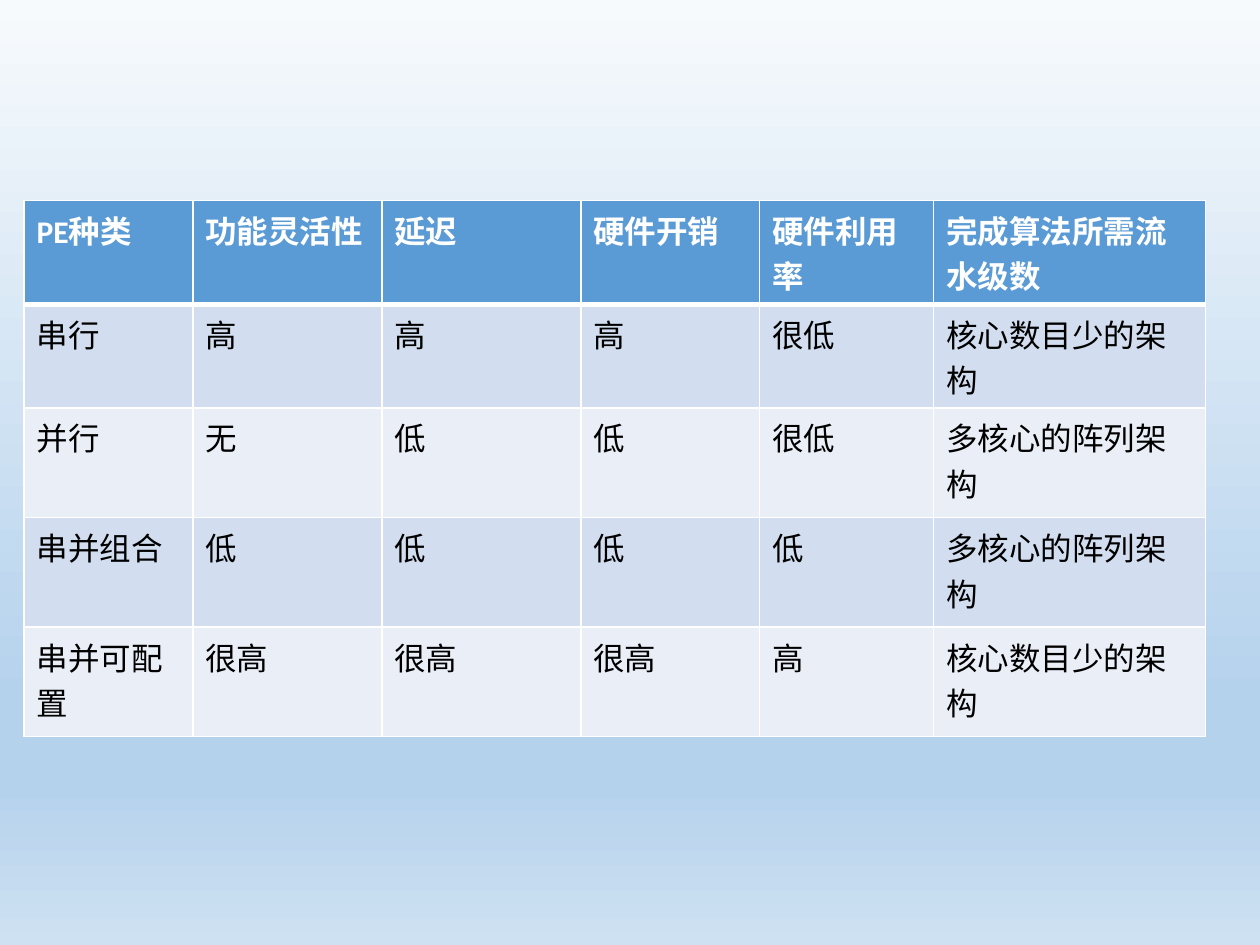
import pptx
import pptx.dml.color
import pptx.oxml.ns
import pptx.util
from lxml import etree

Inches = pptx.util.Inches
RGBColor = pptx.dml.color.RGBColor
qn = pptx.oxml.ns.qn

WHITE = RGBColor(0xFF, 0xFF, 0xFF)
BLACK = RGBColor(0x00, 0x00, 0x00)
HEADER_BLUE = RGBColor(0x5B, 0x9B, 0xD5)
BAND_DARK = RGBColor(0xD2, 0xDE, 0xEF)
BAND_LIGHT = RGBColor(0xEA, 0xEF, 0xF7)
SKY_TOP = RGBColor(0xF7, 0xFA, 0xFD)
SKY_MIDDLE = RGBColor(0xB5, 0xD2, 0xEC)
SKY_BOTTOM = RGBColor(0xCE, 0xE1, 0xF2)

SKY_STOPS = [(0, SKY_TOP), (74, SKY_MIDDLE), (83, SKY_MIDDLE), (100, SKY_BOTTOM)]
COLUMN_WIDTHS = [1.34, 1.5, 1.58, 1.42, 1.38, 2.16]
ROW_HEIGHTS = [0.72, 0.72, 0.87, 0.87, 0.87]
COMPARISON = [
    ["PE种类", "功能灵活性", "延迟", "硬件开销", "硬件利用率", "完成算法所需流水级数"],
    ["串行", "高", "高", "高", "很低", "核心数目少的架构"],
    ["并行", "无", "低", "低", "很低", "多核心的阵列架构"],
    ["串并组合", "低", "低", "低", "低", "多核心的阵列架构"],
    ["串并可配置", "很高", "很高", "很高", "高", "核心数目少的架构"],
]


def add_color(parent, color):
    etree.SubElement(parent, qn("a:srgbClr"), val=str(color))


def paint_background(page, stops):
    fill = page.background.fill
    fill.gradient()
    fill.gradient_angle = 270
    stop_list = page.element.find(".//" + qn("a:gsLst"))
    for stop in list(stop_list):
        stop_list.remove(stop)
    for percent, color in stops:
        stop = etree.SubElement(stop_list, qn("a:gs"), pos=str(percent * 1000))
        add_color(stop, color)


def write_text(frame, text, size=18, color=BLACK, bold=False, font="Calibri"):
    span = frame.paragraphs[0].add_run()
    span.text = text
    span.font.name = font
    span.font.size = pptx.util.Pt(size)
    span.font.bold = bold
    span.font.color.rgb = color


def draw_borders(cell, color, **widths):
    properties = cell._tc.get_or_add_tcPr()
    for side in "LRTB":
        width = pptx.util.Pt(widths.get(side, 1))
        line = etree.SubElement(properties, qn("a:ln" + side), w=str(int(width)))
        add_color(etree.SubElement(line, qn("a:solidFill")), color)


def add_comparison_table(page, left, top, width, height):
    box = page.shapes.add_table(
        len(COMPARISON), len(COLUMN_WIDTHS),
        Inches(left), Inches(top), Inches(width), Inches(height))
    table = box.table
    table.first_row = table.horz_banding = False
    for column, share in zip(table.columns, COLUMN_WIDTHS):
        column.width = Inches(width * share / sum(COLUMN_WIDTHS))
    for row, share in zip(table.rows, ROW_HEIGHTS):
        row.height = Inches(height * share / sum(ROW_HEIGHTS))
    for row_index, texts in enumerate(COMPARISON):
        header = row_index == 0
        band = BAND_DARK if row_index % 2 else BAND_LIGHT
        for column_index, text in enumerate(texts):
            cell = table.cell(row_index, column_index)
            draw_borders(cell, WHITE, B=3 if header else 1, T=3 if row_index == 1 else 1)
            cell.fill.solid()
            cell.fill.fore_color.rgb = HEADER_BLUE if header else band
            write_text(cell.text_frame, text, color=WHITE if header else BLACK, bold=header)


def main():
    deck = pptx.Presentation()
    deck.slide_width = Inches(10)
    deck.slide_height = Inches(7.5)
    page = deck.slides.add_slide(deck.slide_layouts.get_by_name("Blank"))
    paint_background(page, SKY_STOPS)
    add_comparison_table(page, 0.19, 1.59, 9.38, 4.05)
    deck.save("out.pptx")


if __name__ == "__main__":
    main()
